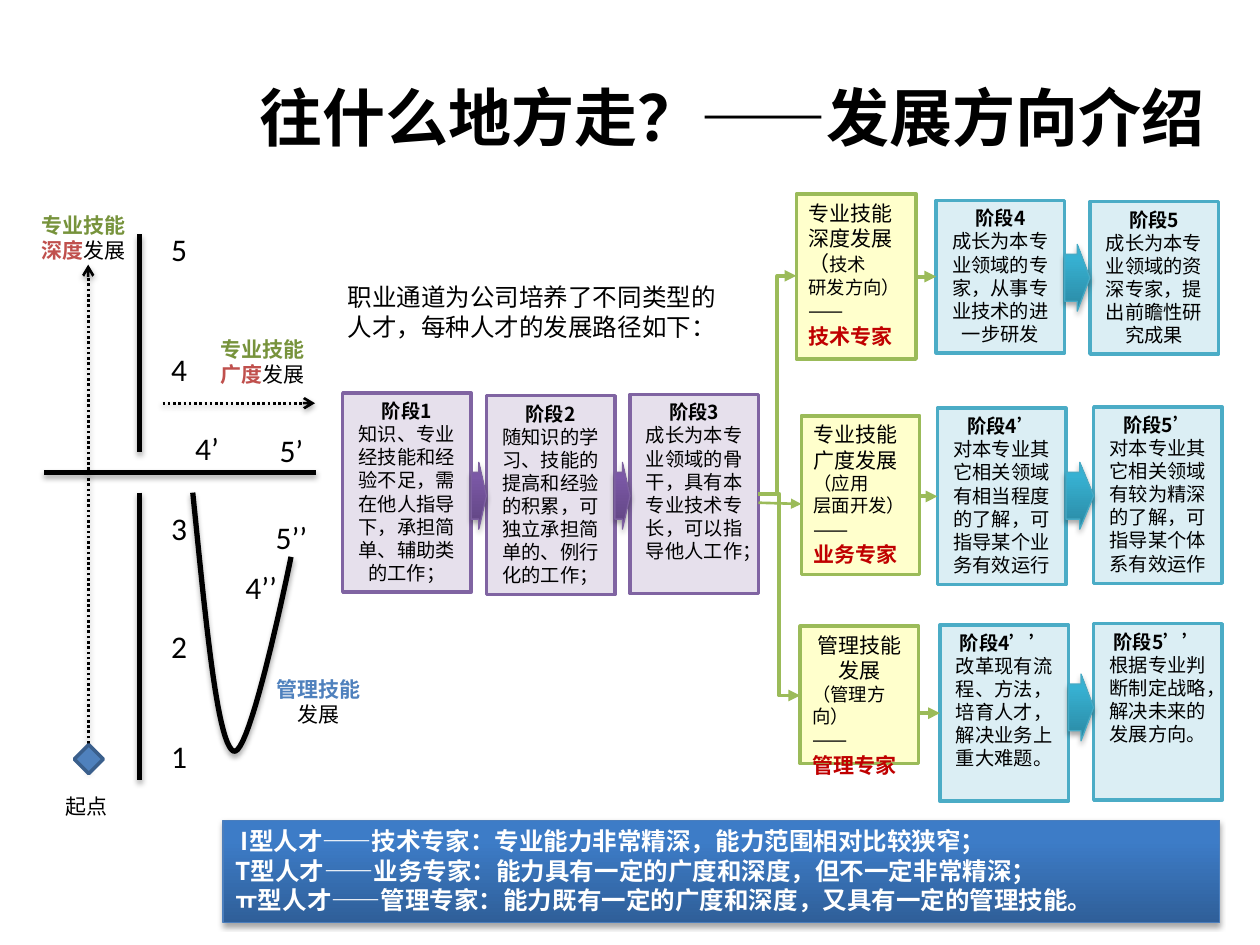
from collections import namedtuple

from lxml.etree import SubElement
from pptx import Presentation
from pptx.dml.color import RGBColor
from pptx.enum.dml import MSO_LINE
from pptx.enum.lang import MSO_LANGUAGE_ID as Lang
from pptx.enum.shapes import MSO_CONNECTOR as Link, MSO_SHAPE as Preset
from pptx.enum.text import MSO_ANCHOR as Anchor, PP_ALIGN as Align
from pptx.oxml.ns import qn
from pptx.util import Inches, Pt

Box = namedtuple("Box", "left top width height")
Branch = namedtuple("Branch", "box card_height stage_lefts stage_top stage_height "
                    "arrow_top card stages")

BLACK, WHITE = RGBColor(0, 0, 0), RGBColor(255, 255, 255)
BLUE, BLUE_EDGE = RGBColor(0x4F, 0x81, 0xBD), RGBColor(0x3A, 0x5F, 0x8C)
OLIVE, RED, CRIMSON = (RGBColor(0x77, 0x93, 0x3C), RGBColor(0xC0, 0x50, 0x4D),
                       RGBColor(0xC0, 0, 0))
GREEN, YELLOW = RGBColor(0x9B, 0xBB, 0x59), RGBColor(0xFF, 0xFF, 0xCC)
LILAC, PURPLE = RGBColor(0xE6, 0xE0, 0xEC), RGBColor(0x80, 0x64, 0xA2)
ICE, TEAL = RGBColor(0xDB, 0xEE, 0xF4), RGBColor(0x4B, 0xAC, 0xC6)
# Gradient: dark bottom, light top, outline
BLUE_FADE = RGBColor(0x2F, 0x5F, 0x99), RGBColor(0x3D, 0x7C, 0xC7), RGBColor(0x4B, 0x7E, 0xBC)
PURPLE_FADE = RGBColor(0x5F, 0x44, 0x80), RGBColor(0x7B, 0x58, 0xA6), RGBColor(0x7D, 0x60, 0xA0)
TEAL_FADE = RGBColor(0x2A, 0x88, 0xA2), RGBColor(0x37, 0xB1, 0xD2), RGBColor(0x46, 0xAA, 0xC5)

HAN, LATIN = "Noto Sans CJK SC", "Calibri"
STAGE_WIDTH, BLOCK_HEIGHT = 10.2, 5.3


def cell(count):
    """Length of a number of cells; the page is 100 columns by 75 rows."""
    return Inches(count / 10)


def cells(*counts):
    return [cell(count) for count in counts]


def style(size, color=BLACK, bold=False, name=HAN):
    return {"size": Pt(size), "bold": bold, "name": name, "color": color}


def write(frame, paras, align=Align.LEFT, anchor=Anchor.TOP, wrap=True):
    """Fill a frame; each paragraph is a list of (text, style) spans."""
    frame.word_wrap, frame.vertical_anchor = wrap, anchor
    for index, spans in enumerate(paras):
        para = frame.paragraphs[0] if index == 0 else frame.add_paragraph()
        para.alignment = align
        for text, look in spans:
            span = para.add_run()
            span.text = text
            span.font.language_id = Lang.SIMPLIFIED_CHINESE
            for key, value in look.items():
                if key == "color":
                    span.font.color.rgb = value
                else:
                    setattr(span.font, key, value)
            SubElement(span.font._element, qn("a:ea"), typeface=HAN)


def set_effect(shape, shadow):
    effects = SubElement(shape.element.spPr, qn("a:effectLst"))
    if shadow:
        outer = SubElement(effects, qn("a:outerShdw"), blurRad="40000", dist="23000",
                           dir="5400000", rotWithShape="0")
        color = SubElement(outer, qn("a:srgbClr"), val="000000")
        SubElement(color, qn("a:alpha"), val="35000")


def set_line(shape, color, width):
    shape.line.color.rgb, shape.line.width = color, Pt(width)


def label(shapes, box, paras, **options):
    write(shapes.add_textbox(*cells(*box)).text_frame, paras, **options)


def panel(shapes, box, fill, edge, width=2, preset=Preset.RECTANGLE):
    """Add a flat shape, or a shaded one with a shadow when fill is a fade."""
    shape = shapes.add_shape(preset, *cells(*box))
    faded = not isinstance(fill, RGBColor)
    if faded:
        shape.fill.gradient()
        shape.fill.gradient_angle = 90
        for stop, color, place in zip(shape.fill.gradient_stops, fill, (0, 0.8)):
            stop.color.rgb, stop.position = color, place
    else:
        shape.fill.solid()
        shape.fill.fore_color.rgb = fill
    set_line(shape, edge, width)
    set_effect(shape, faded)
    return shape


def connect(shapes, start, end, color=GREEN, width=2.25, head="triangle",
            kind=Link.STRAIGHT, dotted=False, shadow=False):
    link = shapes.add_connector(kind, *cells(*start, *end))
    set_line(link, color, width)
    if dotted:
        link.line.dash_style = MSO_LINE.ROUND_DOT
    if head:
        SubElement(link.line._ln, qn("a:tailEnd"), type=head)
    set_effect(link, shadow)


def block_arrow(shapes, left, right, top, fade):
    arrow = panel(shapes, Box(left, top, right - left, BLOCK_HEIGHT), fade, fade[2], 0.75,
                  Preset.RIGHT_ARROW)
    arrow.adjustments[0] = 0.7


def stage(shapes, box, fill, edge, heading, *body):
    paras = [[(heading, style(11, bold=True))]] + [[(text, style(11))] for text in body]
    write(panel(shapes, box, fill, edge).text_frame, paras, align=Align.CENTER)


def bezier(points, steps=24):
    """Points along a cubic curve, without its start."""
    for step in range(1, steps + 1):
        t = step / steps
        weights = (1 - t) ** 3, 3 * t * (1 - t) ** 2, 3 * t * t * (1 - t), t ** 3
        yield tuple(sum(w * p[axis] for w, p in zip(weights, points)) for axis in (0, 1))


def draw_skill_map(shapes, box):
    """Axes of depth, breadth and management skill, with level marks."""
    x, y = box.left, box.top

    def at(col, row):
        return x + col, y + row

    thick = {"color": BLACK, "width": 3, "head": None, "shadow": True}
    dots = {"color": BLACK, "width": 1.5, "head": "arrow", "dotted": True, "shadow": True}
    for start, end, look in [((1.2, 21.1), (22.8, 21.1), thick), ((8.8, 2.2), (8.8, 19.5), thick),
                             ((8.8, 22.7), (8.8, 45.5), thick), ((4.7, 44.7), (4.7, 4.6), dots),
                             ((10.6, 15.6), (22.7, 15.6), dots)]:
        connect(shapes, at(*start), at(*end), **look)

    curve = [at(*p) for p in [(13, 22.7), (14, 32.5), (14.9, 42.4), (16.2, 43.2),
                              (17.5, 44.1), (20.8, 27.8), (20.8, 27.8)]]
    outline = shapes.build_freeform(*cells(*curve[0]), scale=1.0)
    outline.add_line_segments([cells(*p) for part in (curve[:4], curve[3:])
                               for p in bezier(part)], close=False)
    bend = outline.convert_to_shape()
    bend.fill.background()
    set_line(bend, BLACK, 3)
    set_effect(bend, True)

    marks = [("1", 10.3, 41.6), ("2", 10.3, 32.9), ("3", 10.3, 23.5), ("4", 10.3, 10.9),
             ("5", 10.3, 1.4), ("4’", 12.2, 17.2), ("5’", 18.9, 17.3),
             ("4’’", 16.2, 28.2), ("5’’", 18.6, 24.2)]
    for text, col, row in marks:
        label(shapes, Box(*at(col, row), 2.6 + 0.65 * len(text), 4),
              [[(text, style(18, name=LATIN))]], wrap=False)

    plain = style(12, name=LATIN)
    skills = [("专业技能", OLIVE, "深度", 0, 0, 8.8, Align.LEFT),
              ("专业技能", OLIVE, "广度", 14.2, 9.8, 10.6, Align.LEFT),
              ("管理技能", BLUE, "", 18.6, 36.8, 8.8, Align.CENTER)]
    for name, color, focus, col, row, width, align in skills:
        second = [(focus, style(12, RED, True, LATIN))] if focus else []
        label(shapes, Box(*at(col, row), width, 5),
              [[(name, style(12, color, True, LATIN))], second + [("发展", plain)]], align=align)
    panel(shapes, Box(*at(3.6, 42.7), 2.3, 2.3), BLUE, BLUE_EDGE, preset=Preset.DIAMOND)
    label(shapes, Box(*at(1.9, 46.1), 5.4, 3), [[("起点", plain)]], wrap=False)


def draw_shared_path(shapes, box, stages):
    pitch = (box.width - STAGE_WIDTH) / (len(stages) - 1)
    for index, (drop, texts) in enumerate(stages):
        left = box.left + index * pitch
        stage(shapes, Box(left, box.top + drop, STAGE_WIDTH, box.height), LILAC, PURPLE, *texts)
        if index:
            block_arrow(shapes, left - pitch + STAGE_WIDTH, left, box.top + 5.5, PURPLE_FADE)


def draw_branch(shapes, branch):
    """Direction card followed by two stages."""
    x, y, width, _ = branch.box
    title, notes, expert, align = branch.card
    card = panel(shapes, Box(x, y, width, branch.card_height), YELLOW, GREEN)
    paras = [[(title, style(12))], *notes, [("——", style(12))],
             [(expert, style(12, CRIMSON, True))]]
    write(card.text_frame, paras)
    card.text_frame.paragraphs[0].alignment = align
    first, second = (x + left for left in branch.stage_lefts)
    top = y + branch.stage_top
    for left, drop, texts in zip((first, second), branch.box.height, branch.stages):
        stage(shapes, Box(left, top + drop, STAGE_WIDTH, branch.stage_height), ICE, TEAL, *texts)
    middle = top + branch.stage_height / 2
    connect(shapes, (x + width, middle), (first, middle))
    block_arrow(shapes, first + STAGE_WIDTH, second, y + branch.arrow_top, TEAL_FADE)


def draw_summary(shapes, box, lines):
    bar = panel(shapes, box, BLUE_FADE, BLUE_FADE[2], 0.75)
    write(bar.text_frame, [[(line, style(14, WHITE, True))] for line in lines])


SMALL = style(10.5)
SHARED = [
    (0, ("阶段1", "知识、专业经技能和经验不足，需", "在他人指导下，承担简单、辅助类的工作；")),
    (0.2, ("阶段2", "随知识的学习、技能的提高和经验的积累，可独立承担简单的、例行化的工作；")),
    (0.1, ("阶段3", "成长为本专业领域的骨干，具有本专业技术专长，可以指导他人工作；")),
]
# The height of each branch box holds the drop of its two stages
BRANCHES = [
    Branch(Box(63.2, 15.4, 9.5, (0, 0.1)), 13.1, (11.1, 23.3), 0.5, 12.1, 4,
           ("专业技能深度发展", [[("（", style(12)), ("技术", SMALL)], [("研发方向）", SMALL)]],
            "技术专家", Align.LEFT),
           [("阶段4", "成长为本专业领域的专家，从事专业技术的进一步研发"),
            ("阶段5", "成长为本专业领域的资深专家，提出前瞻性研究成果")]),
    Branch(Box(63.6, 33, 9.4, (0, -0.1)), 12.6, (10.8, 23.2), -0.6, 14, 3.7,
           ("专业技能广度发展", [[("（应用", SMALL)], [("层面开发）", SMALL)]],
            "业务专家", Align.LEFT),
           [("阶段4’", "对本专业其它相关领域有相当程度的了解，可指导某个业务有效运行"),
            ("阶段5’", "对本专业其它相关领域有较为精深的了解，可", "指导某个体系有效运作")]),
    Branch(Box(63.5, 49.7, 9.4, (0, -0.1)), 10.9, (11.1, 23.3), -0.1, 14, 3.8,
           ("管理技能发展", [[("（管理方向）", SMALL)]], "管理专家", Align.CENTER),
           [("阶段4’’", "改革现有流程、方法，培育人才，解决业务上重大难题。"),
            ("阶段5’’", "根据专业判断制定战略，解决未来的发展方向。")]),
]
SUMMARY = [
    " I型人才——技术专家：专业能力非常精深，能力范围相对比较狭窄；",
    "T型人才——业务专家：能力具有一定的广度和深度，但不一定非常精深；",
    "ￗ型人才——管理专家：能力既有一定的广度和深度，又具有一定的管理技能。",
]


def main():
    deck = Presentation()
    deck.slide_width, deck.slide_height = cells(100, 75)
    shapes = deck.slides.add_slide(deck.slide_layouts[6]).shapes
    label(shapes, Box(19.2, 3, 77.8, 12.5),
          [[("往什么地方走？——发展方向介绍", style(36, bold=True))]],
          align=Align.CENTER, anchor=Anchor.MIDDLE)
    draw_skill_map(shapes, Box(2.3, 16.4, 27.4, 49.1))
    draw_summary(shapes, Box(17.7, 65.1, 79.1, 8.1), SUMMARY)
    draw_shared_path(shapes, Box(27.2, 31.2, 33, 15.8), SHARED)
    for branch in BRANCHES:
        draw_branch(shapes, branch)
    fork = (60.2, 39.2)
    connect(shapes, fork, (63.2, 21.9), kind=Link.ELBOW)
    connect(shapes, (60.2, 39.9), (63.6, 40), width=1.5)
    connect(shapes, fork, (63.5, 55.2), kind=Link.ELBOW)
    label(shapes, Box(26.6, 21.9, 31.5, 5.7),
          [[("职业通道为公司培养了不同类型的人才，每种人才的发展路径如下：", style(14))]])
    deck.save("out.pptx")


if __name__ == "__main__":
    main()
